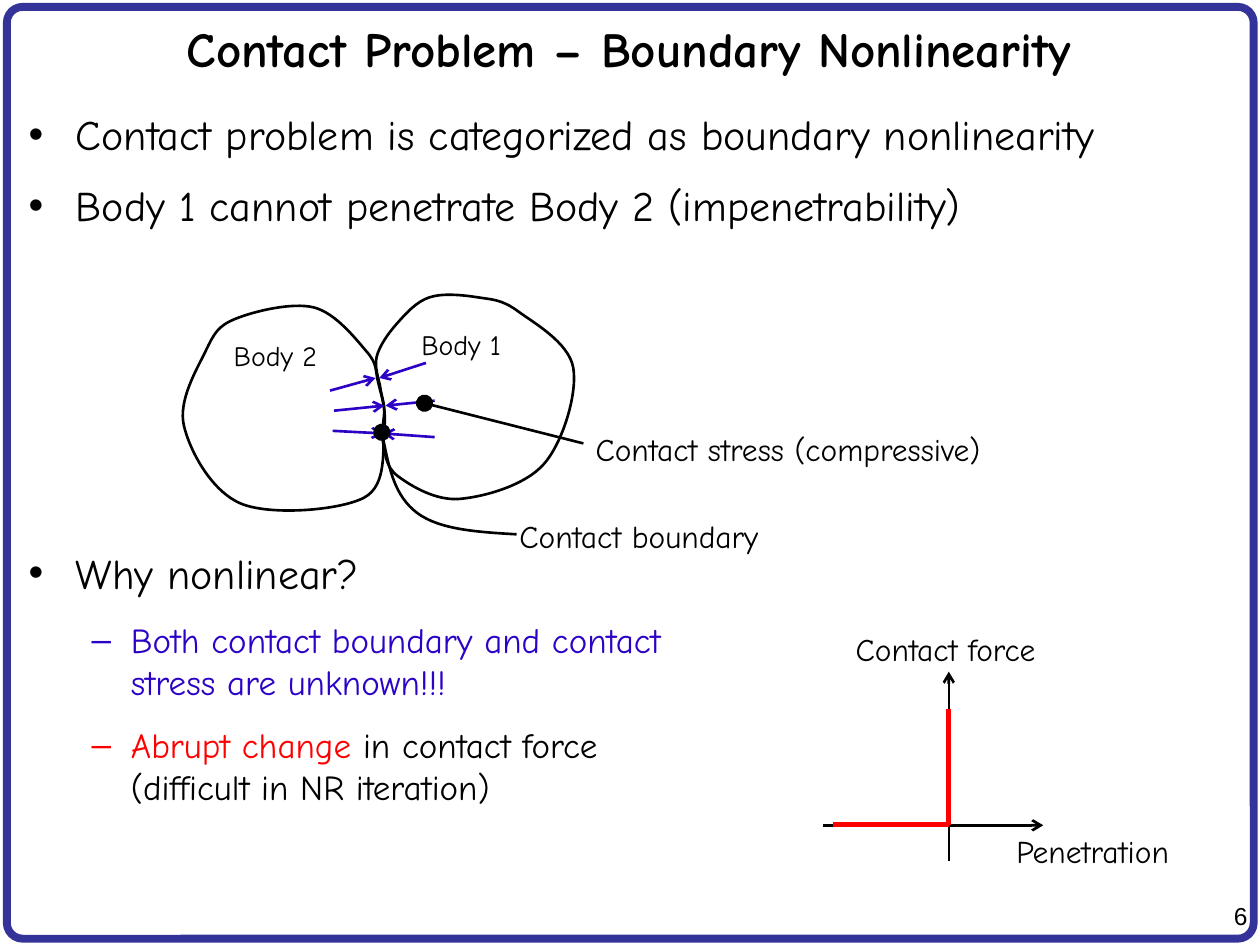
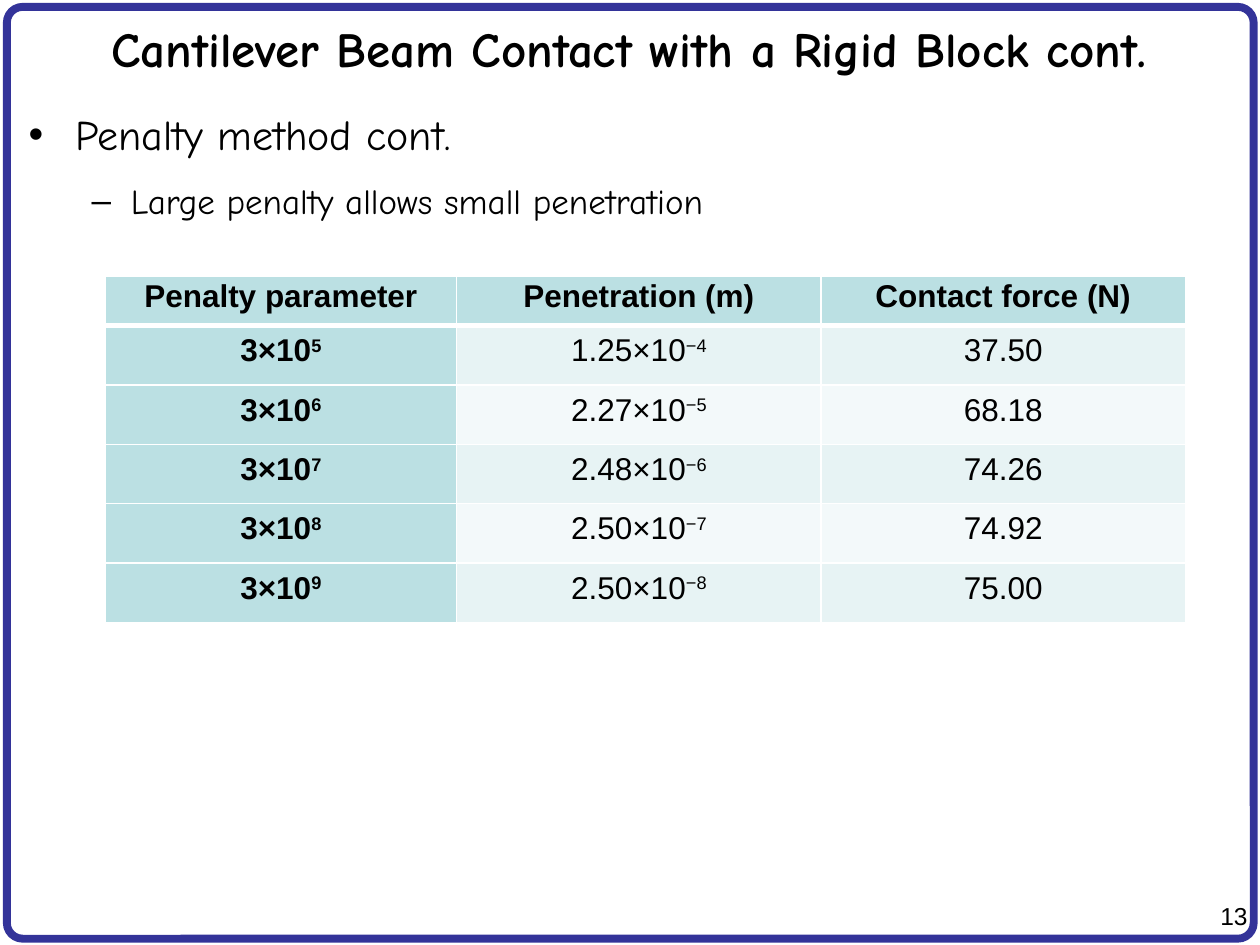
from lxml import etree
from pptx import Presentation
from pptx.dml.color import RGBColor
from pptx.enum.shapes import MSO_CONNECTOR as CONN, MSO_SHAPE as SHAPE
from pptx.enum.text import MSO_ANCHOR as ANCHOR, MSO_AUTO_SIZE as FIT, PP_ALIGN as ALIGN
from pptx.oxml.ns import qn
from pptx.util import Pt

BLACK = RGBColor(0x00, 0x00, 0x00)
WHITE = RGBColor(0xFF, 0xFF, 0xFF)
NAVY = RGBColor(0x33, 0x33, 0x99)
VIOLET = RGBColor(0x2C, 0x02, 0xC6)
RED = RGBColor(0xFF, 0x00, 0x00)
TEAL = RGBColor(0xBB, 0xE0, 0xE3)
BANDS = RGBColor(0xE7, 0xF3, 0xF4), RGBColor(0xF3, 0xF9, 0xFA)
HAND, SANS = "Comic Neue", "Arial"

# Per list level: bullet, text size, left margin, hanging indent
LEVELS = [("•", 24, 27, 27), ("–", 20, 58.5, 22.5)]

# Knots of the curves in the contact sketch
BODY_2 = [(134.6, 182.2), (179.3, 175.7), (209.5, 200.9), (216, 218.2), (219.6, 244.8),
          (208.1, 284.4), (138.2, 288), (105.1, 243.4), (117.4, 200.9)]
BODY_1 = [(272.9, 169.9), (245.5, 169.9), (226.8, 185), (215.3, 203.8), (217.4, 221.8),
          (219.6, 234), (218.9, 252.7), (227.5, 272.2), (262.8, 285.1), (311, 265),
          (327.6, 210.2), (295.9, 177.8)]
BOUNDARY = [(218.2, 247), (238.3, 293), (295.2, 305.3)]
STRESS_ARROWS = [
    ((188.6, 223.2), (214.6, 216)), ((190.8, 234.7), (219.6, 231.8)),
    ((190.1, 246.2), (218.9, 247.7)), ((243.4, 207.4), (216.7, 216)),
    ((248.4, 229), (220.3, 231.8)), ((248.4, 249.8), (218.9, 247.7))]
SKETCH_LABELS = [
    ("Body 1", 233.7, 183.6, 65, 16), ("Body 2", 126.5, 190.1, 67, 16),
    ("Contact boundary", 289.7, 291.9, 164, 18),
    ("Contact stress (compressive)", 333.2, 242.3, 262, 18)]

PENALTY_ROWS = [
    ("Penalty parameter", "Penetration (m)", "Contact force (N)"),
    ("3×10^5", "1.25×10^−4", "37.50"),
    ("3×10^6", "2.27×10^−5", "68.18"),
    ("3×10^7", "2.48×10^−6", "74.26"),
    ("3×10^8", "2.50×10^−7", "74.92"),
    ("3×10^9", "2.50×10^−8", "75.00")]


def place(sp, left, top, width, height):
    sp.left, sp.top, sp.width, sp.height = Pt(left), Pt(top), Pt(width), Pt(height)


def style(r, size, font=HAND, color=BLACK, bold=False):
    r.font.size, r.font.name, r.font.bold = Pt(size), font, bold
    r.font.color.rgb = color


def stroke(sp, color, width, head=None, tail=None):
    sp.line.color.rgb = color
    sp.line.width = Pt(width)
    for tag, kind in (("a:headEnd", head), ("a:tailEnd", tail)):
        if kind:
            size = "lg" if kind == "oval" else "med"
            etree.SubElement(sp.line._get_or_add_ln(), qn(tag), type=kind, w=size, len=size)


def add_label(slide, text, left, top, width, size, font=HAND, align=ALIGN.LEFT):
    tf = slide.shapes.add_textbox(Pt(left), Pt(top), Pt(width), Pt(size * 1.6)).text_frame
    tf.word_wrap = True
    tf.text = text
    p = tf.paragraphs[0]
    p.alignment = align
    style(p.runs[0], size, font)


def add_line(slide, start, end, color=BLACK, width=1.5, tail=None):
    ends = [Pt(v) for v in (*start, *end)]
    line = slide.shapes.add_connector(CONN.STRAIGHT, *ends)
    stroke(line, color, width, tail=tail)
    etree.SubElement(line._element.spPr, qn("a:effectLst"))


def smooth_segments(knots, closed):
    """Bezier segments (two handles, end) whose tangents follow the neighbouring knots."""
    n = len(knots)

    def handle(i, direction):
        (x, y), (x0, y0), (x1, y1) = knots[i % n], knots[(i - 1) % n], knots[(i + 1) % n]
        return x + direction * (x1 - x0) / 6, y + direction * (y1 - y0) / 6

    def middle(a, b):
        return (a[0] + b[0]) / 2, (a[1] + b[1]) / 2

    segments = []
    for i in range(n if closed else n - 1):
        start, end = knots[i], knots[(i + 1) % n]
        b, c = handle(i, 1), handle(i + 1, -1)
        if not closed and i == 0:
            b = middle(start, c)
        if not closed and i == n - 2:
            c = middle(b, end)
        segments.append((b, c, end))
    return segments


def add_curve(slide, knots, closed=True, head=None):
    # Freeform units are hundredths of a point
    units = [(x * 100, y * 100) for x, y in knots]
    segments = smooth_segments(units, closed)
    builder = slide.shapes.build_freeform(*units[0], scale=Pt(1) / 100)
    builder.add_line_segments([s[-1] for s in segments], close=closed)
    sp = builder.convert_to_shape()
    # Turn each straight segment into a curve
    left, top = (min(axis) for axis in zip(*units))
    for line, segment in zip(list(sp._element.iter(qn("a:lnTo"))), segments):
        curve = etree.Element(qn("a:cubicBezTo"))
        for x, y in segment:
            etree.SubElement(curve, qn("a:pt"), x=str(round(x - left)), y=str(round(y - top)))
        line.getparent().replace(line, curve)
    sp.shadow.inherit = False
    sp.fill.background()
    stroke(sp, BLACK, 1.5, head=head)


def add_item(p, level, parts, space=12):
    """Fill a list paragraph with (text, colour) parts; a newline breaks the line."""
    bullet, size, margin, hang = LEVELS[level]
    p.level = level
    p.space_before = Pt(space)
    pPr = p._p.get_or_add_pPr()
    pPr.set("marL", str(Pt(margin)))
    pPr.set("indent", str(-Pt(hang)))
    etree.SubElement(pPr, qn("a:buChar"), char=bullet)
    for text, color in parts:
        for i, row in enumerate(text.split("\n")):
            if i:
                p.add_line_break()
            r = p.add_run()
            r.text = row
            style(r, size, color=color)
    for br in p._p.findall(qn("a:br")):
        etree.SubElement(br, qn("a:rPr"), sz=str(size * 100))


def add_frame(slide):
    """Draw the frame and move it to the layout, so that every slide shows it."""
    frame = slide.shapes.add_shape(SHAPE.ROUNDED_RECTANGLE, Pt(3.9), Pt(3.9), Pt(712.5), Pt(532.5))
    frame.adjustments[0] = 0.017
    frame.shadow.inherit = False
    frame.fill.background()
    stroke(frame, NAVY, 4.5)
    slide.slide_layout.shapes._spTree.append(frame._element)


def add_slide(prs, title, number, items):
    slide = prs.slides.add_slide(prs.slide_layouts[1])
    add_label(slide, str(number), 681, 511.2, 39, 14, SANS, ALIGN.RIGHT)
    # Title
    head = slide.shapes.title
    place(head, 2.9, 4, 712.8, 46.8)
    tf = head.text_frame
    tf.text = title
    tf.auto_size, tf.vertical_anchor = FIT.NONE, ANCHOR.MIDDLE
    tf.paragraphs[0].alignment = ALIGN.CENTER
    style(tf.paragraphs[0].runs[0], 28, bold=True)
    # List
    body = slide.placeholders[1]
    place(body, 9.1, 58.3, 701.3, 462.2)
    tf = body.text_frame
    tf.auto_size = FIT.NONE
    for i, item in enumerate(items):
        add_item(tf.add_paragraph() if i else tf.paragraphs[0], *item)
    return slide


def add_contact_sketch(slide):
    add_curve(slide, BODY_2)
    add_curve(slide, BODY_1)
    for start, end in STRESS_ARROWS:
        add_line(slide, start, end, VIOLET, tail="arrow")
    add_curve(slide, BOUNDARY, closed=False, head="oval")
    add_line(slide, (333.4, 253.4), (242.6, 230.4), tail="oval")
    for label in SKETCH_LABELS:
        add_label(slide, *label)


def add_force_graph(slide):
    x, y = 542.2, 471.6
    add_line(slide, (x, y + 20.2), (x, y - 87.8), tail="arrow")
    add_line(slide, (x - 72, y), (x + 54, y), tail="arrow")
    add_line(slide, (x - 66.3, y - 0.5), (x, y - 0.5), RED, 3)
    add_line(slide, (x, y - 66.2), (x, y), RED, 3)
    add_label(slide, "Penetration", 567.9, 471.9, 113, 18, align=ALIGN.CENTER)
    add_label(slide, "Contact force", 474.1, 356.4, 132.5, 18, align=ALIGN.CENTER)


def set_borders(cell, bottom):
    tcPr = cell._tc.get_or_add_tcPr()
    for side, width in (("L", 1), ("R", 1), ("T", 1), ("B", bottom)):
        ln = etree.SubElement(tcPr, qn("a:ln" + side), w=str(Pt(width)))
        fill = etree.SubElement(ln, qn("a:solidFill"))
        etree.SubElement(fill, qn("a:srgbClr"), val=str(WHITE))


def fill_cell(cell, text, color, bold, bottom):
    set_borders(cell, bottom)
    cell.fill.solid()
    cell.fill.fore_color.rgb = color
    cell.vertical_anchor = ANCHOR.MIDDLE
    cell.margin_left = cell.margin_right = Pt(5)
    cell.margin_top = cell.margin_bottom = 0
    p = cell.text_frame.paragraphs[0]
    p.alignment, p.line_spacing = ALIGN.CENTER, Pt(15)
    for i, part in enumerate(text.split("^")):
        r = p.add_run()
        r.text = part
        style(r, 18, SANS, bold=bold)
        if i:
            r.font._element.set("baseline", "30000")


def add_penalty_table(slide):
    widths, heights = (201, 208.2, 208.2), [28.4] + [33.95] * 5
    table = slide.shapes.add_table(len(heights), len(widths), Pt(60), Pt(157.7),
                                   Pt(sum(widths)), Pt(sum(heights))).table
    for column, width in zip(table.columns, widths):
        column.width = Pt(width)
    for i, (height, values) in enumerate(zip(heights, PENALTY_ROWS)):
        table.rows[i].height = Pt(height)
        for j, value in enumerate(values):
            header = i == 0 or j == 0
            color = TEAL if header else BANDS[(i - 1) % 2]
            fill_cell(table.cell(i, j), value, color, header, 1 if i else 3)


def main():
    prs = Presentation()
    prs.slide_width, prs.slide_height = Pt(720), Pt(540)

    # Contact problem
    slide = add_slide(prs, "Contact Problem – Boundary Nonlinearity", 6, [
        (0, [("Contact problem is categorized as boundary nonlinearity", BLACK)]),
        (0, [("Body 1 cannot penetrate Body 2 (impenetrability)", BLACK)]),
        (0, [("Why nonlinear?", BLACK)], 181.2),
        (1, [("Both contact boundary and contact \nstress are unknown!!!", VIOLET)]),
        (1, [("Abrupt change ", RED),
             ("in contact force\n(difficult in NR iteration)", BLACK)])])
    add_frame(slide)
    add_contact_sketch(slide)
    add_force_graph(slide)

    # Penalty method
    slide = add_slide(prs, "Cantilever Beam Contact with a Rigid Block cont.", 13, [
        (0, [("Penalty method cont.", BLACK)]),
        (1, [("Large penalty allows small penetration", BLACK)])])
    add_penalty_table(slide)

    prs.save("out.pptx")


if __name__ == "__main__":
    main()
